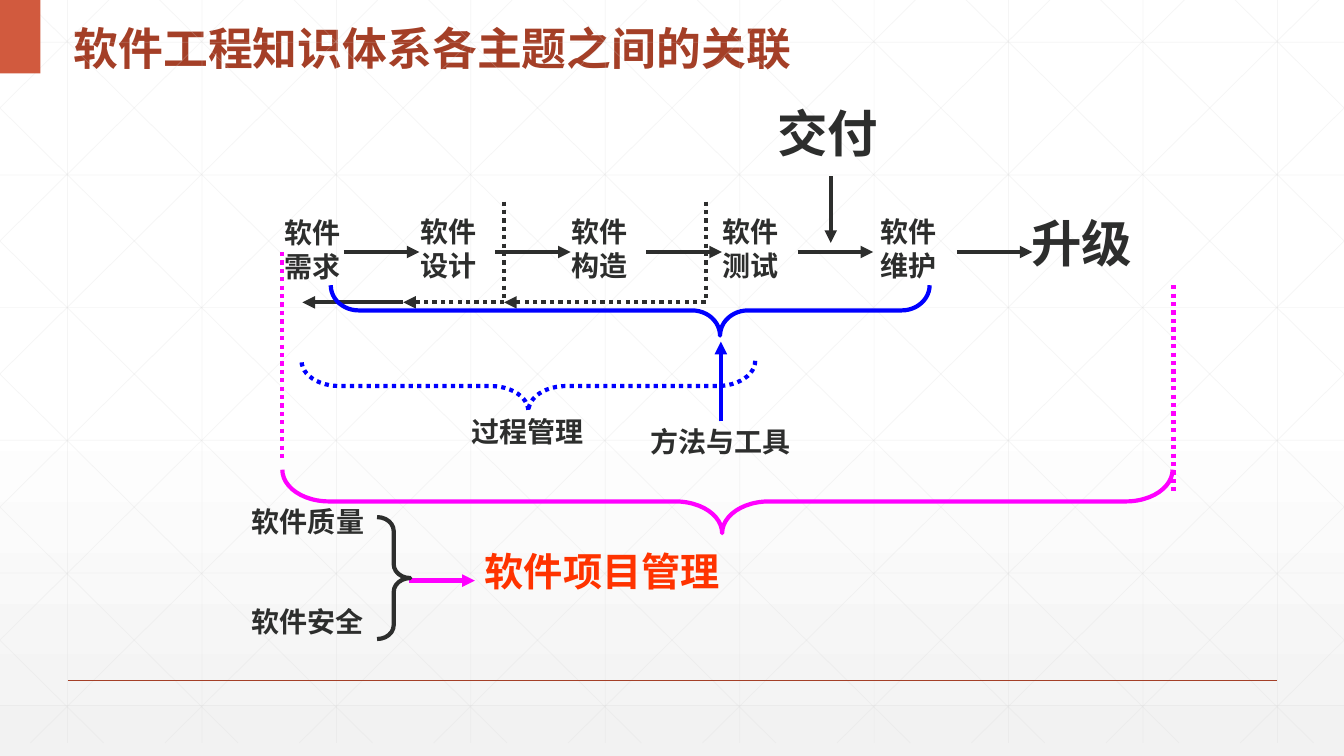
from lxml import etree
from pptx import Presentation
from pptx.dml.color import RGBColor
from pptx.enum.dml import MSO_LINE
from pptx.enum.shapes import MSO_CONNECTOR, MSO_SHAPE
from pptx.enum.text import MSO_ANCHOR, PP_ALIGN
from pptx.oxml.ns import qn
from pptx.util import Inches, Pt

STRAIGHT = MSO_CONNECTOR.STRAIGHT
BRACE, RECTANGLE = MSO_SHAPE.RIGHT_BRACE, MSO_SHAPE.RECTANGLE
DOTTED = MSO_LINE.ROUND_DOT
TOP, LEFT = MSO_ANCHOR.TOP, PP_ALIGN.LEFT

FONT = "Noto Sans CJK SC"
WHITE = RGBColor(0xFF, 0xFF, 0xFF)
PALE = RGBColor(0xF2, 0xF2, 0xF2)
GRID = RGBColor(0xD9, 0xD9, 0xD9)
RUST = RGBColor(0xA4, 0x3F, 0x27)
CORAL = RGBColor(0xD1, 0x5A, 0x3E)
INK = RGBColor(0x2D, 0x2E, 0x2D)
RED = RGBColor(0xFF, 0x33, 0x00)
BLUE = RGBColor(0x00, 0x00, 0xFF)
MAGENTA = RGBColor(0xFF, 0x00, 0xFF)

WIDTH, HEIGHT = 13.33, 7.5
TITLE = "软件工程知识体系各主题之间的关联"

# Labels: text, left, top, width, height, size, colour
LABELS = [
    ("软件需求", 2.72, 2.09, 0.94, 0.97, 20, INK),
    ("软件设计", 4.07, 2.08, 0.94, 0.97, 20, INK),
    ("软件构造", 5.57, 2.08, 1.02, 0.97, 20, INK),
    ("软件测试", 7.07, 2.08, 1.02, 0.97, 20, INK),
    ("软件维护", 8.63, 2.08, 1.02, 0.97, 20, INK),
    ("升级", 10.13, 2.06, 1.27, 0.88, 36, INK),
    ("交付", 7.61, 0.96, 1.25, 0.88, 36, INK),
    ("过程管理", 4.58, 4.06, 1.34, 0.53, 20, INK),
    ("方法与工具", 6.35, 4.16, 1.93, 0.44, 20, INK),
    ("软件项目管理", 4.71, 5.38, 2.97, 0.71, 28, RED),
    ("软件质量", 2.4, 4.96, 1.41, 0.53, 20, INK),
    ("软件安全", 2.4, 5.95, 1.34, 0.53, 20, INK),
]

# Step arrows share one height and one length
FLOW_Y, FLOW_LENGTH = 2.5, 0.75
FLOW_STARTS = [3.41, 4.91, 6.41, 7.91, 9.49]

# Other arrows: start, end, colour
ARROWS = [
    ((8.24, 1.75), (8.24, 2.41), INK),
    ((7.15, 4.18), (7.15, 3.39), BLUE),
    ((4.06, 5.76), (4.71, 5.76), MAGENTA),
]
# Dotted sides of the project range: x, top
RANGE_SIDES = [(2.8, 2.5), (11.64, 2.83)]
RANGE_LENGTH = 2.08

# Feedback paths: points, dash
FEEDBACK = [
    ([(3.74, 2.77), (3.74, 3.33), (3.2, 3.33), (3.2, 2.88)], None),
    ([(5.24, 2.5), (5.24, 3.33), (3.74, 3.33)], DOTTED),
    ([(6.74, 2.5), (6.74, 3.33), (5.24, 3.33)], DOTTED),
]

# Braces: left, top, width, height, rotation, adjustments, colour, dash
BRACES = [
    (6, 0.11, 0.5, 5.94, 90, (0.556, 0.35), BLUE, None),
    (4.99, 1.58, 0.5, 4.5, 90, (0.75, 0.5), BLUE, DOTTED),
    (3.74, 5.13, 0.33, 1.21, 0, (0.417, 0.5), INK, None),
    (6.9, 0.56, 0.63, 8.83, 90, (0.735, 0.506), MAGENTA, None),
]


def style_line(shape, colour, points=3, dash=None, arrow=False):
    shape.line.color.rgb = colour
    shape.line.width = Pt(points)
    if dash:
        shape.line.dash_style = dash
    if arrow:
        outline = shape.line._get_or_add_ln()
        etree.SubElement(outline, qn("a:tailEnd"), type="triangle")


def add_line(start, end, colour, points=3, dash=None, arrow=False):
    line = page.shapes.add_connector(STRAIGHT, *map(Inches, start + end))
    style_line(line, colour, points, dash, arrow)
    etree.SubElement(line._element.spPr, qn("a:effectLst"))
    return line


def add_grid_line(start, end):
    line = add_line(start, end, GRID, 0.5)
    colour = line._element.spPr.find(".//" + qn("a:srgbClr"))
    etree.SubElement(colour, qn("a:alpha"), val="25000")


def write(shape, text, size, colour, spacing):
    frame = shape.text_frame
    frame.text = text
    frame.word_wrap = True
    frame.vertical_anchor = TOP
    para = frame.paragraphs[0]
    para.alignment = LEFT
    para.line_spacing = spacing
    span = para.runs[0]
    span.font.name = FONT
    span.font.size = Pt(size)
    span.font.bold = True
    span.font.color.rgb = colour
    latin = span._r.rPr.find(qn("a:latin"))
    latin.addnext(etree.Element(qn("a:ea"), typeface=FONT))


def place(shape, *bounds):
    shape.left, shape.top, shape.width, shape.height = map(Inches, bounds)


deck = Presentation()
deck.slide_width, deck.slide_height = Inches(WIDTH), Inches(HEIGHT)
page = deck.slides.add_slide(deck.slide_layouts[5])

# Background gradient
fill = page.background.fill
fill.gradient()
fill.gradient_angle = 270
for stop, colour, position in zip(fill.gradient_stops, (WHITE, PALE), (0.53, 1)):
    stop.color.rgb = colour
    stop.position = position

# Background grid: uprights, levels and mirrored diagonals
GRID_STEP, GRID_BOTTOM, SLOPE = 4 / 3, 7.37, 0.99
for column in range(10):
    x = 0.67 + column * GRID_STEP
    add_grid_line((x, 0), (x, GRID_BOTTOM))
for row in range(6):
    y = 0.42 + row * 1.316
    add_grid_line((0, y), (WIDTH, y))
for diagonal in range(-5, 10):
    origin = 0.25 + diagonal * GRID_STEP
    x1 = max(origin, 0)
    x2 = min(origin + GRID_BOTTOM / SLOPE, WIDTH)
    y1, y2 = (x1 - origin) * SLOPE, (x2 - origin) * SLOPE
    add_grid_line((x1, y1), (x2, y2))
    add_grid_line((WIDTH - x1, y1), (WIDTH - x2, y2))

# Footer rule, corner block and title
add_line((0.67, 6.75), (12.67, 6.75), RUST, 1)
corner = page.shapes.add_shape(RECTANGLE, 0, 0, Inches(0.4), Inches(0.73))
corner.shadow.inherit = False
corner.fill.solid()
corner.fill.fore_color.rgb = CORAL
corner.line.fill.background()
title = page.shapes.title
place(title, 0.63, 0, 7.73, 0.73)
write(title, TITLE, 32, RUST, 1.3)

# Labels
for text, left, top, width, height, size, colour in LABELS:
    box = page.shapes.add_textbox(*map(Inches, (left, top, width, height)))
    write(box, text, size, colour, 1)

# Arrows and dotted sides
for x in FLOW_STARTS:
    add_line((x, FLOW_Y), (x + FLOW_LENGTH, FLOW_Y), INK, arrow=True)
for start, end, colour in ARROWS:
    add_line(start, end, colour, arrow=True)
for x, top in RANGE_SIDES:
    add_line((x, top), (x, top + RANGE_LENGTH), MAGENTA, dash=DOTTED)

# Feedback paths
for points, dash in FEEDBACK:
    builder = page.shapes.build_freeform(*points[0], scale=Inches(1))
    builder.add_line_segments(points[1:], close=False)
    path = builder.convert_to_shape()
    path.shadow.inherit = False
    path.fill.background()
    style_line(path, INK, dash=dash, arrow=True)

# Braces
for left, top, width, height, rotation, adjustments, colour, dash in BRACES:
    brace = page.shapes.add_shape(BRACE, *map(Inches, (left, top, width, height)))
    brace.rotation = rotation
    for index, value in enumerate(adjustments):
        brace.adjustments[index] = value
    brace.shadow.inherit = False
    brace.fill.background()
    style_line(brace, colour, dash=dash)

deck.save("out.pptx")
